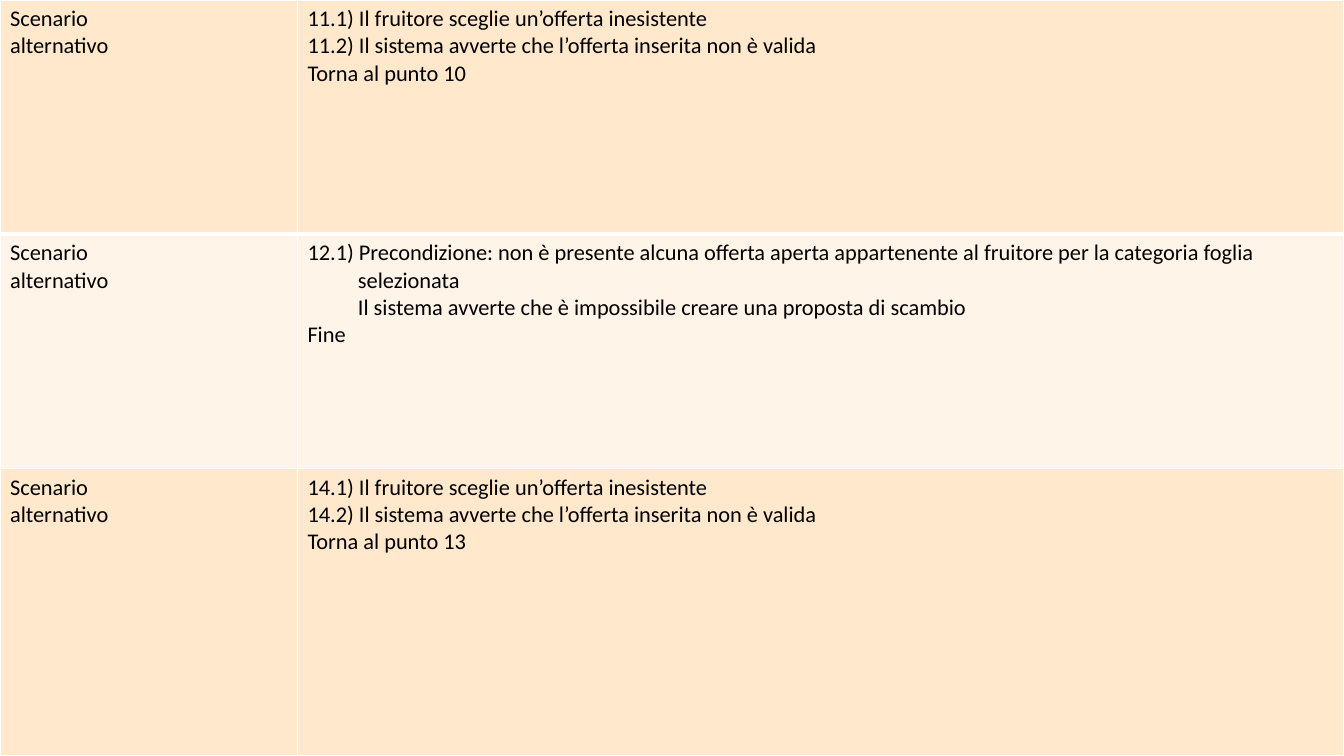
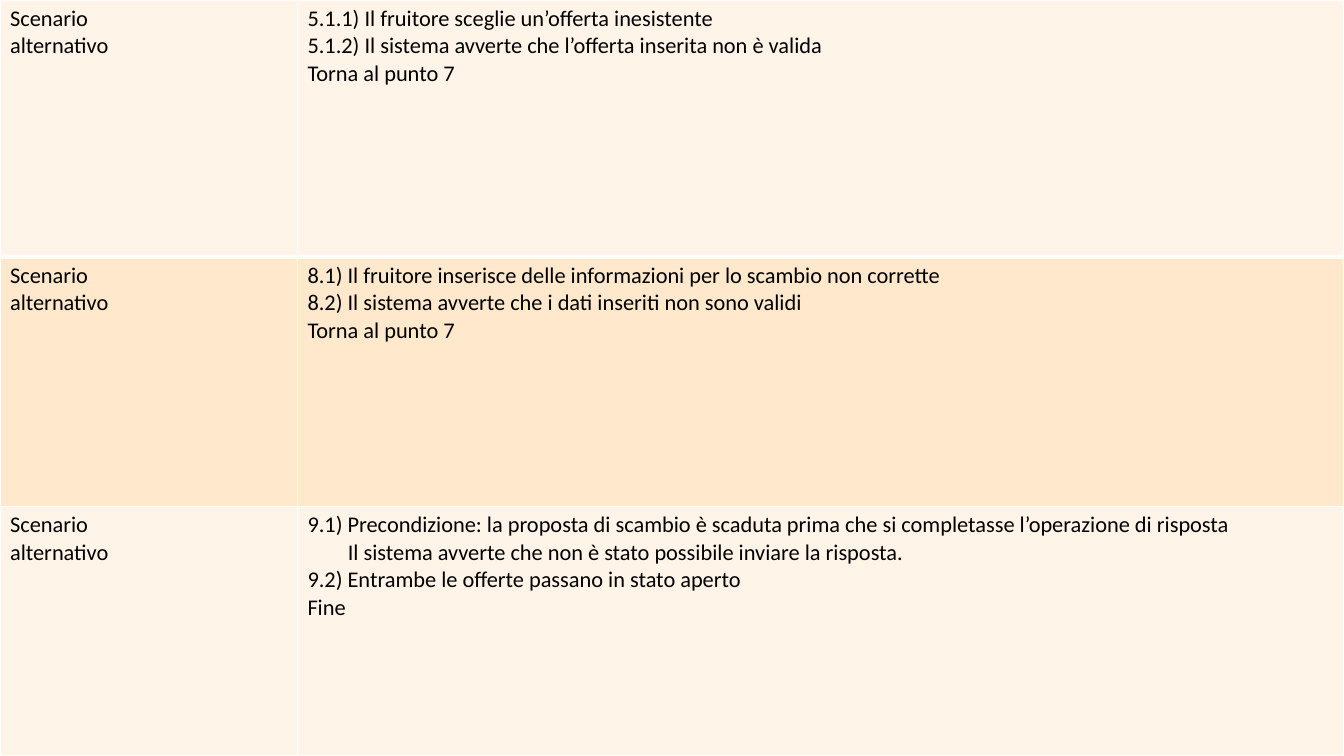
from pptx import Presentation
from pptx import util as u
from pptx.dml.color import RGBColor
from pptx.enum import text
from pptx.oxml import parse_xml
from pptx.oxml.ns import nsdecls

# Shared style
WIDTH, HEIGHT = 13.33, 7.5
FONT, SIZE = "Calibri", 16
INK, LINE = "000000", "FFFFFF"
DARK, LIGHT = "FFE8CB", "FFF4E7"
THIN, THICK = 1, 3
LABEL_SHARE = 2.95 / WIDTH
LABEL = ["Scenario", "alternativo"]


def color(value):
    return RGBColor.from_string(value)


def write(paragraph, content, size=SIZE, font=FONT, ink=INK, indent=0):
    """Put formatted text in a paragraph; indent is in inches."""
    run = paragraph.add_run()
    run.text = content
    run.font.size = u.Pt(size)
    run.font.name = font
    run.font.color.rgb = color(ink)
    if indent:
        properties = paragraph._p.get_or_add_pPr()
        properties.set("marL", str(u.Inches(indent)))
        properties.set("indent", "0")


class Deck:
    """Holds the presentation and the current slide."""

    def __init__(self):
        self.presentation = Presentation()
        self.presentation.slide_width = u.Inches(WIDTH)
        self.presentation.slide_height = u.Inches(HEIGHT)
        self.slide = None

    def add_slide(self):
        blank = self.presentation.slide_layouts[6]
        self.slide = self.presentation.slides.add_slide(blank)

    def border(self, cell, **widths):
        """Draw cell edges, given in the order L, R, T, B."""
        properties = cell._tc.get_or_add_tcPr()
        for side, width in widths.items():
            properties.append(parse_xml(
                f'<a:ln{side} {nsdecls("a")} w="{u.Pt(width)}"><a:solidFill>'
                f'<a:srgbClr val="{LINE}"/></a:solidFill></a:ln{side}>'))

    def cell(self, cell, lines, fill, top, bottom):
        self.border(cell, L=THIN, R=THIN, T=top, B=bottom)
        cell.fill.solid()
        cell.fill.fore_color.rgb = color(fill)
        cell.vertical_anchor = text.MSO_ANCHOR.TOP
        frame = cell.text_frame
        for number, line in enumerate(lines):
            paragraph = frame.add_paragraph() if number else frame.paragraphs[0]
            content, indent = line if isinstance(line, tuple) else (line, 0)
            write(paragraph, content, indent=indent)

    def scenario_table(self, scenarios, shares, fills):
        """Fill the slide with one labelled row per scenario."""
        width, height = u.Inches(WIDTH), u.Inches(HEIGHT)
        table = self.slide.shapes.add_table(
            len(scenarios), 2, 0, 0, width, height).table
        table.first_row = table.horz_banding = False
        for column, share in zip(table.columns, (LABEL_SHARE, 1 - LABEL_SHARE)):
            column.width = int(width * share)
        for number, steps in enumerate(scenarios):
            table.rows[number].height = int(height * shares[number])
            # A thick rule separates the first row from the second
            edges = {"top": THICK if number == 1 else THIN,
                     "bottom": THICK if number == 0 else THIN}
            for column, lines in enumerate((LABEL, steps)):
                self.cell(table.cell(number, column), lines,
                          fills[number % 2], **edges)


def invalid_offer(step, back):
    return [f"{step}.1) Il fruitore sceglie un’offerta inesistente",
            f"{step}.2) Il sistema avverte che l’offerta inserita non è valida",
            f"Torna al punto {back}"]


def main():
    deck = Deck()

    # Scenarios for creating a proposal
    deck.add_slide()
    deck.scenario_table([
        invalid_offer("11", 10),
        ["12.1) Precondizione: non è presente alcuna offerta aperta "
         "appartenente al fruitore per la categoria foglia",
         ("selezionata", 0.5),
         ("Il sistema avverte che è impossibile creare una proposta di scambio",
          0.5),
         "Fine"],
        invalid_offer("14", 13),
    ], shares=(0.31, 0.31, 0.38), fills=(DARK, LIGHT))

    # Scenarios for answering a proposal
    deck.add_slide()
    deck.scenario_table([
        invalid_offer("5.1", 7),
        ["8.1) Il fruitore inserisce delle informazioni per lo scambio "
         "non corrette",
         "8.2) Il sistema avverte che i dati inseriti non sono validi",
         "Torna al punto 7"],
        ["9.1) Precondizione: la proposta di scambio è scaduta prima che si "
         "completasse l’operazione di risposta",
         ("Il sistema avverte che non è stato possibile inviare la risposta.",
          0.4),
         "9.2) Entrambe le offerte passano in stato aperto",
         "Fine"],
    ], shares=(0.34, 0.33, 0.33), fills=(LIGHT, DARK))

    deck.presentation.save("out.pptx")


if __name__ == "__main__":
    main()
